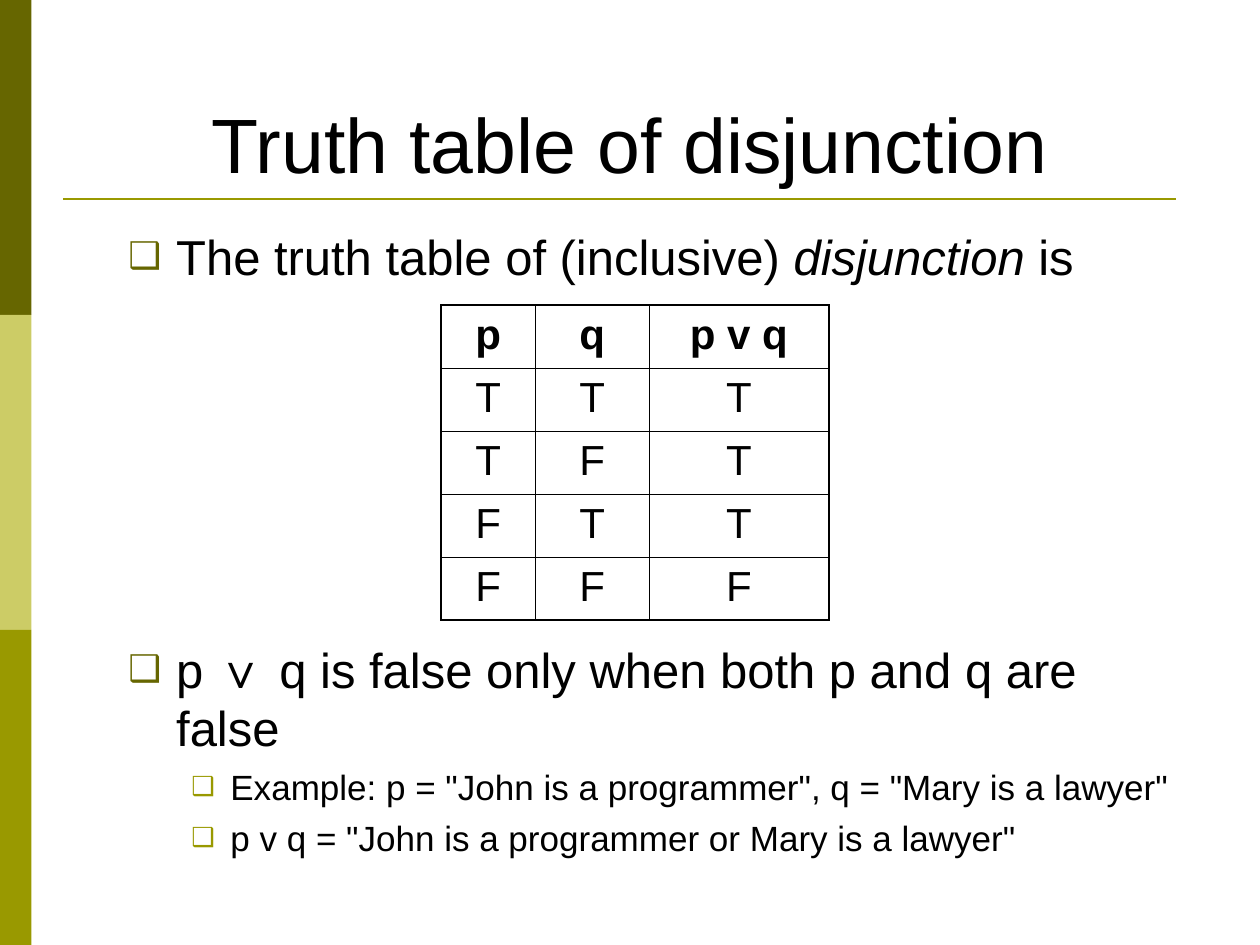
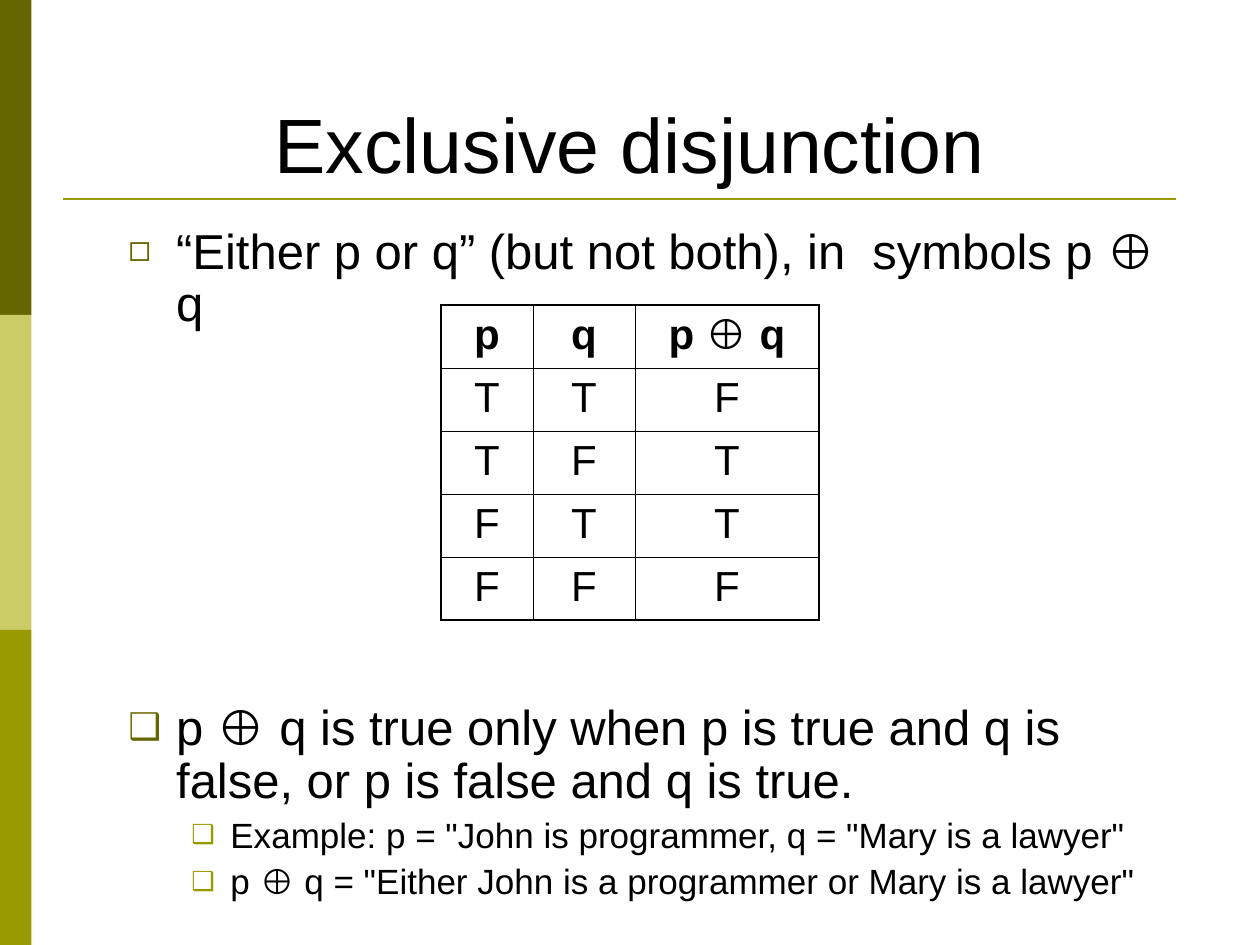
from lxml import etree
from pptx import Presentation
from pptx.dml.color import RGBColor
from pptx.enum.shapes import MSO_CONNECTOR, MSO_SHAPE
from pptx.enum.text import MSO_ANCHOR, MSO_AUTO_SIZE, PP_ALIGN
from pptx.oxml.ns import qn
from pptx.util import Emu, Pt

# Enum members
RECTANGLE = MSO_SHAPE.RECTANGLE
STRAIGHT = MSO_CONNECTOR.STRAIGHT
BOTTOM = MSO_ANCHOR.BOTTOM
NO_AUTOFIT = MSO_AUTO_SIZE.NONE
CENTER = PP_ALIGN.CENTER

# Colours and fonts
BLACK = RGBColor(0x00, 0x00, 0x00)
DARK_OLIVE = RGBColor(0x66, 0x66, 0x00)
LIGHT_OLIVE = RGBColor(0xCC, 0xCC, 0x66)
OLIVE = RGBColor(0x99, 0x99, 0x00)
FONT = "Arial"

# Lengths are in px, 100 to the inch
EMU_PER_PX = 9144
SLIDE_WIDTH, SLIDE_HEIGHT = 1000, 750
BAND_WIDTH, BAND_HEIGHT = 25, 250
ROW_HEIGHT = 50
TABLE_LEFT, TABLE_TOP = 350, 242
BODY_LEFT, BODY_TOP, BODY_WIDTH = 92, 175, 858
OUTER_BORDER, INNER_BORDER = 1.08, 0.45

# Bullet levels: font size, space before, left margin, hanging indent, colour
LEVELS = [
    (28, 7, 38, 38, DARK_OLIVE),
    (20, 5, 81, 31, OLIVE),
]


def px(length):
    return Emu(length * EMU_PER_PX)


class Deck:
    """Holds the shared style and the current slide."""

    def __init__(self):
        self.presentation = Presentation()
        self.presentation.slide_width = px(SLIDE_WIDTH)
        self.presentation.slide_height = px(SLIDE_HEIGHT)
        self.slide = None

    def add_slide(self, title):
        layout = self.presentation.slide_layouts.get_by_name("Title Only")
        self.slide = self.presentation.slides.add_slide(layout)
        for index, color in enumerate((DARK_OLIVE, LIGHT_OLIVE, OLIVE)):
            self.band(index * BAND_HEIGHT, color)
        self.rule(50, 933, 158)
        self.title(title)

    def band(self, top, color):
        shape = self.slide.shapes.add_shape(
            RECTANGLE, 0, px(top), px(BAND_WIDTH), px(BAND_HEIGHT))
        shape.shadow.inherit = False
        shape.fill.solid()
        shape.fill.fore_color.rgb = color
        shape.line.fill.background()

    def rule(self, left, right, y):
        connector = self.slide.shapes.add_connector(
            STRAIGHT, px(left), px(y), px(right), px(y))
        connector.line.color.rgb = OLIVE
        connector.line.width = Pt(1.5)
        etree.SubElement(connector._element.spPr, qn("a:effectLst"))

    def title(self, text):
        shape = self.slide.shapes.title
        shape.left, shape.top = px(50), px(30)
        shape.width, shape.height = px(900), px(125)
        frame = shape.text_frame
        frame.text = text
        frame.auto_size = NO_AUTOFIT
        frame.vertical_anchor = BOTTOM
        frame.paragraphs[0].alignment = CENTER
        self.font(frame.paragraphs[0], 44)

    def font(self, paragraph, size, bold=False):
        paragraph.font.name = FONT
        paragraph.font.size = Pt(size)
        paragraph.font.bold = bold
        paragraph.font.color.rgb = BLACK

    def runs(self, paragraph, pieces):
        """A piece is a text, or a text with the font settings that differ."""
        for piece in pieces:
            text, settings = (piece, {}) if isinstance(piece, str) else piece
            run = paragraph.add_run()
            run.text = text
            for name, value in settings.items():
                setattr(run.font, name, value)

    def bullet(self, paragraph, level, character):
        _, _, margin, hanging, color = LEVELS[level]
        properties = paragraph._p.get_or_add_pPr()
        properties.set("marL", str(px(margin)))
        properties.set("indent", str(px(-hanging)))
        bullet_color = etree.SubElement(properties, qn("a:buClr"))
        etree.SubElement(bullet_color, qn("a:srgbClr"), val=str(color))
        etree.SubElement(properties, qn("a:buSzPct"), val="75000")
        etree.SubElement(properties, qn("a:buFont"), typeface=FONT)
        etree.SubElement(properties, qn("a:buChar"), char=character)

    def body(self, height, items, gap, line_spacing=1.0, first_bullet="❑"):
        """The gap, in points, leaves room for the table after the first item."""
        shape = self.slide.shapes.add_textbox(
            px(BODY_LEFT), px(BODY_TOP), px(BODY_WIDTH), px(height))
        frame = shape.text_frame
        frame.word_wrap = True
        for index, (level, pieces) in enumerate(items):
            paragraph = frame.paragraphs[0] if index == 0 else frame.add_paragraph()
            size, space_before = LEVELS[level][:2]
            self.bullet(paragraph, level, first_bullet if index == 0 else "❑")
            paragraph.level = level
            paragraph.line_spacing = line_spacing
            paragraph.space_before = Pt(gap if index == 1 else space_before)
            self.font(paragraph, size)
            self.runs(paragraph, pieces)

    def borders(self, cell, outer_sides):
        properties = cell._tc.get_or_add_tcPr()
        for side in "LRTB":
            width = OUTER_BORDER if side in outer_sides else INNER_BORDER
            line = etree.SubElement(properties, qn(f"a:ln{side}"), w=str(Pt(width)))
            fill = etree.SubElement(line, qn("a:solidFill"))
            etree.SubElement(fill, qn("a:srgbClr"), val=str(BLACK))

    def truth_table(self, widths, header, results):
        inputs = ("TT", "TF", "FT", "FF")
        rows = [header] + [[p, q, result] for (p, q), result in zip(inputs, results)]
        last_row, last_column = len(rows) - 1, len(widths) - 1
        table = self.slide.shapes.add_table(
            len(rows), len(widths), px(TABLE_LEFT), px(TABLE_TOP),
            px(sum(widths)), px(ROW_HEIGHT * len(rows))).table
        table.first_row = table.horz_banding = False
        for column, width in zip(table.columns, widths):
            column.width = px(width)
        for row_index, row in enumerate(rows):
            for column_index, pieces in enumerate(row):
                cell = table.cell(row_index, column_index)
                edges = {"L": column_index == 0, "R": column_index == last_column,
                         "T": row_index == 0, "B": row_index == last_row}
                self.borders(cell, [side for side, outer in edges.items() if outer])
                cell.fill.background()
                paragraph = cell.text_frame.paragraphs[0]
                paragraph.alignment = CENTER
                self.font(paragraph, 24, bold=row_index == 0)
                self.runs(paragraph, [pieces] if isinstance(pieces, str) else pieces)


def main():
    deck = Deck()

    # Inclusive disjunction
    deck.add_slide("Truth table of disjunction")
    deck.body(542, [
        (0, ["The truth table of (inclusive) ", ("disjunction", {"italic": True}), " is"]),
        (0, ["p ∨ q is false only when both p and q are false"]),
        (1, ['Example: p = "John is a programmer", q = "Mary is a lawyer"']),
        (1, ['p v q = "John is a programmer or Mary is a lawyer"']),
    ], gap=202)
    deck.truth_table([75, 90, 143], ["p", "q", "p v q"], "TTTF")

    # Exclusive disjunction
    deck.add_slide("Exclusive disjunction")
    deck.body(550, [
        (0, ["“Either p or q” (but not both), in  symbols p ⊕ q"]),
        (0, ["p ⊕ q is true only when p is true and q is false, "
             "or p is false and q is true."]),
        (1, ['Example: p = "John is programmer, q = "Mary is a lawyer"']),
        (1, ['p ⊕ q = "Either John is a programmer or Mary is a lawyer"']),
    ], gap=212, line_spacing=0.9, first_bullet="◻")
    deck.truth_table(
        [73, 81, 146], ["p", "q", ["p ", ("⊕", {"bold": False}), " q"]], "FTTF")

    deck.presentation.save("out.pptx")


if __name__ == "__main__":
    main()
